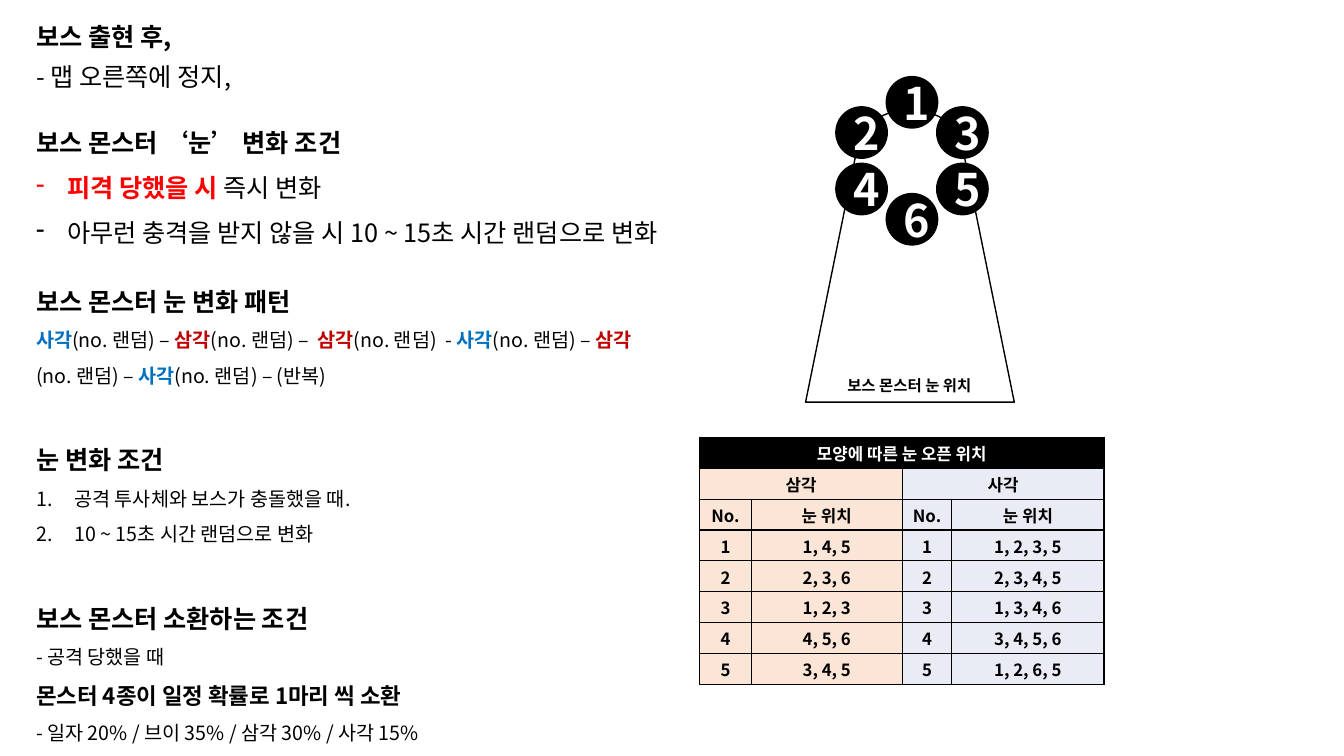
from lxml import etree
from pptx import Presentation
from pptx.dml.color import RGBColor
from pptx.enum.shapes import MSO_SHAPE
from pptx.enum.text import MSO_ANCHOR, MSO_AUTO_SIZE, PP_ALIGN
from pptx.oxml.ns import qn
from pptx.util import Inches, Pt

OVAL = MSO_SHAPE.OVAL
MIDDLE = MSO_ANCHOR.MIDDLE
GROW = MSO_AUTO_SIZE.SHAPE_TO_FIT_TEXT
CENTER = PP_ALIGN.CENTER

FONT = "Noto Sans CJK KR"
BLACK = RGBColor(0x00, 0x00, 0x00)
WHITE = RGBColor(0xFF, 0xFF, 0xFF)
RED = RGBColor(0xFF, 0x00, 0x00)
DARK_RED = RGBColor(0xC0, 0x00, 0x00)
BLUE = RGBColor(0x00, 0x70, 0xC0)
PEACH = RGBColor(0xFB, 0xE5, 0xD6)
LAVENDER = RGBColor(0xE9, 0xEB, 0xF5)


def add_run(paragraph, text, size, bold=False, color=BLACK):
    run = paragraph.add_run()
    run.text = text
    run.font.size = Pt(size)
    run.font.bold = bold
    run.font.color.rgb = color
    run.font.name = FONT
    latin = run.font._element.find(qn("a:latin"))
    east_asian = etree.Element(qn("a:ea"), typeface=FONT)
    latin.addnext(east_asian)


def add_text_box(shapes, box, paragraphs, line_spacing=None, alignment=None):
    shape = shapes.add_textbox(*[Inches(value) for value in box])
    frame = shape.text_frame
    frame.word_wrap = True
    frame.auto_size = GROW
    for index, (runs, bullet, gap) in enumerate(paragraphs):
        paragraph = frame.add_paragraph() if index else frame.paragraphs[0]
        paragraph.line_spacing = line_spacing
        paragraph.alignment = alignment
        if gap:
            paragraph.space_before = Pt(gap)
        if bullet:
            properties = paragraph._p.get_or_add_pPr()
            indent = Inches(0.31 if bullet == "-" else 0.38)
            properties.set("marL", str(indent))
            properties.set("indent", str(-indent))
            if bullet == "-":
                etree.SubElement(properties, qn("a:buChar"), char="-")
            else:
                etree.SubElement(properties, qn("a:buAutoNum"), type=bullet)
        for run in runs:
            add_run(paragraph, *run)


presentation = Presentation()
presentation.slide_width = Inches(13.33)
presentation.slide_height = Inches(7.5)
slide = presentation.slides.add_slide(presentation.slide_layouts[6])

add_text_box(slide.shapes, (0.26, 0.16, 4.55, 0.4),
             [([("보스 출현 후,", 18, True)], None, 0)])
add_text_box(slide.shapes, (0.26, 0.56, 4.25, 0.4),
             [([("- 맵 오른쪽에 정지,", 18)], None, 0)])
add_text_box(slide.shapes, (0.26, 1.06, 8.04, 1.86), [
    ([("보스 몬스터 ‘눈’ 변화 조건", 18, True)], None, 0),
    ([("피격 당했을 시", 18, True, RED), (" 즉시 변화", 18)], "-", 0),
    ([("아무런 충격을 받지 않을 시 10 ~ 15초 시간 랜덤으로 변화", 18)], "-", 0),
], 1.5)

boss = slide.shapes.add_group_shape()
curves = [
    [(8.51, 1.41), (8.56, 1.23), (8.77, 1.09), (9.02, 1.09)],
    [(9.02, 1.09), (9.28, 1.09), (9.49, 1.23), (9.54, 1.41)],
]
STEPS = 12
head_points = []
for curve in curves:
    for step in range(STEPS + 1):
        t = step / STEPS
        weights = ((1 - t) ** 3, 3 * t * (1 - t) ** 2, 3 * t * t * (1 - t), t ** 3)
        head_points.append(tuple(
            Inches(sum(weight * point[axis] for weight, point in zip(weights, curve)))
            for axis in (0, 1)))
body_points = [(Inches(x), Inches(y)) for x, y in
               [(9.54, 1.43), (10.06, 3.99), (7.99, 3.99), (8.51, 1.43)]]
builder = boss.shapes.build_freeform(*head_points[0])
builder.add_line_segments(head_points[1:] + body_points, close=True)
body = builder.convert_to_shape()
body.shadow.inherit = False
body.fill.solid()
body.fill.fore_color.rgb = WHITE
body.line.color.rgb = BLACK
body.line.width = Pt(1)

EYE_SIZE = 0.51
eyes = [("1", 8.79, 0.76), ("2", 8.29, 1.06), ("4", 8.29, 1.62),
        ("3", 9.29, 1.06), ("5", 9.29, 1.62), ("6", 8.79, 1.92)]
for number, left, top in eyes:
    eye = boss.shapes.add_shape(OVAL, Inches(left), Inches(top),
                                Inches(EYE_SIZE), Inches(EYE_SIZE))
    eye.shadow.inherit = False
    eye.fill.solid()
    eye.fill.fore_color.rgb = BLACK
    eye.line.color.rgb = BLACK
    eye.line.width = Pt(1)
    eye.text_frame.vertical_anchor = MIDDLE
    paragraph = eye.text_frame.paragraphs[0]
    paragraph.alignment = CENTER
    add_run(paragraph, number, 32, True, WHITE)

add_text_box(boss.shapes, (8.1, 3.68, 1.84, 0.29),
             [([("보스 몬스터 눈 위치", 11, True)], None, 0)], alignment=CENTER)

square = ("사각", 14, True, BLUE)
triangle = ("삼각", 14, True, DARK_RED)
random_next = ("(no. 랜덤) – ", 14)
pattern = [
    square, random_next, triangle, ("(no. 랜덤) –  ", 14),
    triangle, ("(no. 랜덤)  - ", 14), square, random_next,
    triangle, random_next, square, ("(no. 랜덤) – (반복)", 14),
]
SECTION_GAP = 30.4
add_text_box(slide.shapes, (0.26, 2.64, 6.15, 4.65), [
    ([("보스 몬스터 눈 변화 패턴", 18, True)], None, 0),
    (pattern, None, 0),
    ([("눈 변화 조건", 18, True)], None, SECTION_GAP),
    ([("공격 투사체와 보스가 충돌했을 때.", 14)], "arabicPeriod", 0),
    ([("10 ~ 15초 시간 랜덤으로 변화", 14)], "arabicPeriod", 0),
    ([("보스 몬스터 소환하는 조건", 18, True)], None, SECTION_GAP),
    ([("- 공격 당했을 때", 14)], None, 0),
    ([("몬스터 4종이 일정 확률로 1마리 씩 소환", 16, True)], None, 0),
    ([("- 일자 20% / 브이 35% / 삼각 30% / 사각 15%", 14)], None, 0),
], 1.5)

triangle_eyes = ["1, 4, 5", "2, 3, 6", "1, 2, 3", "4, 5, 6", "3, 4, 5"]
square_eyes = ["1, 2, 3, 5", "2, 3, 4, 5", "1, 3, 4, 6", "3, 4, 5, 6", "1, 2, 6, 5"]
rows = [
    ["모양에 따른 눈 오픈 위치", "", "", ""],
    ["삼각", "", "사각", ""],
    ["No.", "눈 위치"] * 2,
]
for number, (left_eyes, right_eyes) in enumerate(zip(triangle_eyes, square_eyes), 1):
    rows.append([str(number), left_eyes, str(number), right_eyes])

table = slide.shapes.add_table(len(rows), 4, Inches(6.94), Inches(4.34),
                               Inches(4.01), Inches(2.45)).table
table.first_row = False
table.horz_banding = False
for column, width in zip(table.columns, (0.51, 1.5, 0.49, 1.51)):
    column.width = Inches(width)
for row in table.rows:
    row.height = Inches(2.45 / len(rows))
table.cell(0, 0).merge(table.cell(0, 3))
table.cell(1, 0).merge(table.cell(1, 1))
table.cell(1, 2).merge(table.cell(1, 3))

for row_index, row in enumerate(rows):
    for column_index, text in enumerate(row):
        cell = table.cell(row_index, column_index)
        cell.vertical_anchor = MIDDLE
        cell.margin_left = cell.margin_top = cell.margin_right = Inches(0.01)
        cell.margin_bottom = 0
        properties = cell._tc.get_or_add_tcPr()
        for side in ("a:lnL", "a:lnR", "a:lnT", "a:lnB"):
            border = etree.SubElement(properties, qn(side), w=str(Pt(1)))
            border_fill = etree.SubElement(border, qn("a:solidFill"))
            etree.SubElement(border_fill, qn("a:srgbClr"), val=str(BLACK))
        cell.fill.solid()
        shade = PEACH if column_index < 2 else LAVENDER
        cell.fill.fore_color.rgb = shade if row_index else BLACK
        if text:
            paragraph = cell.text_frame.paragraphs[0]
            paragraph.alignment = CENTER
            add_run(paragraph, text, 12, True, BLACK if row_index else WHITE)

presentation.save("out.pptx")
